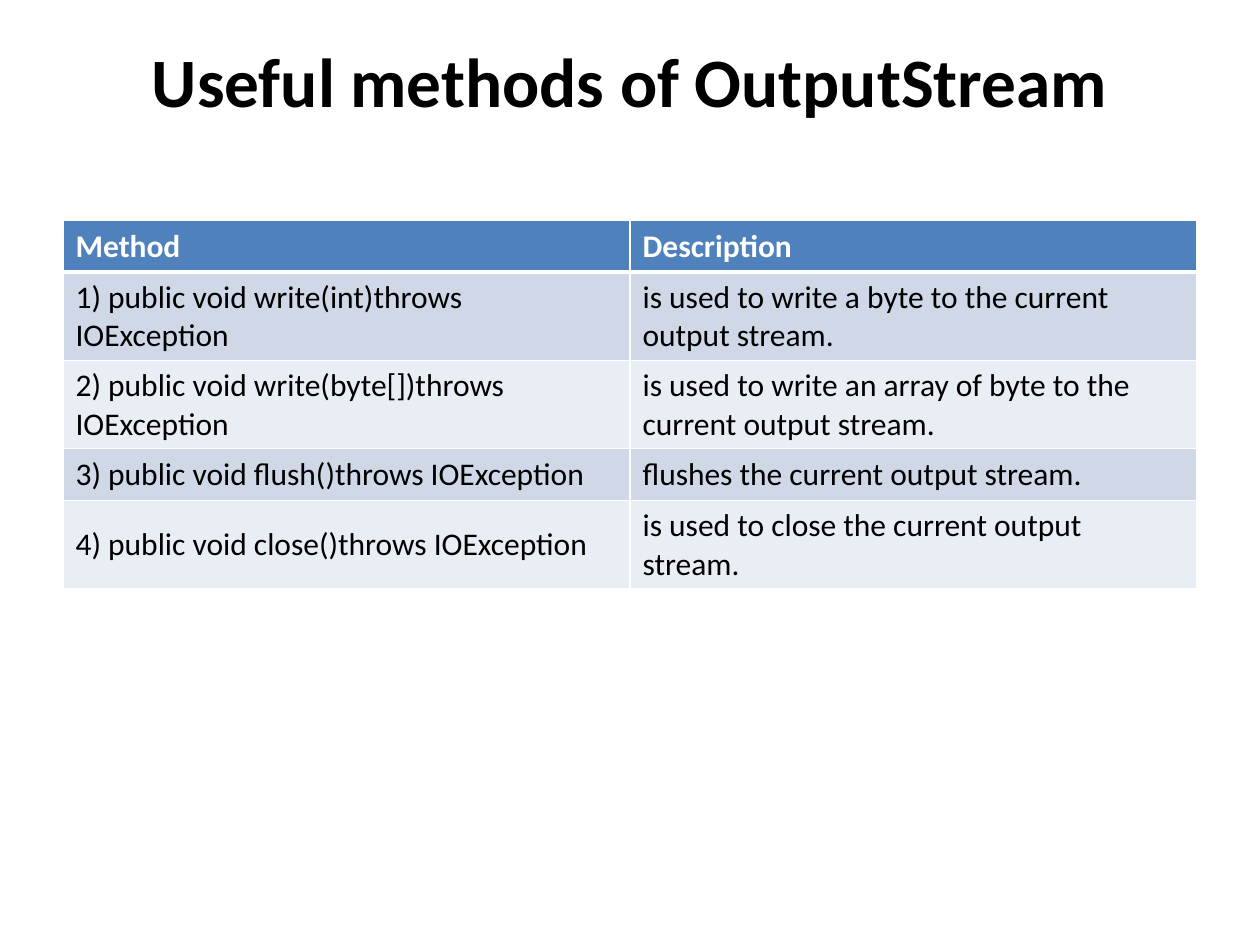
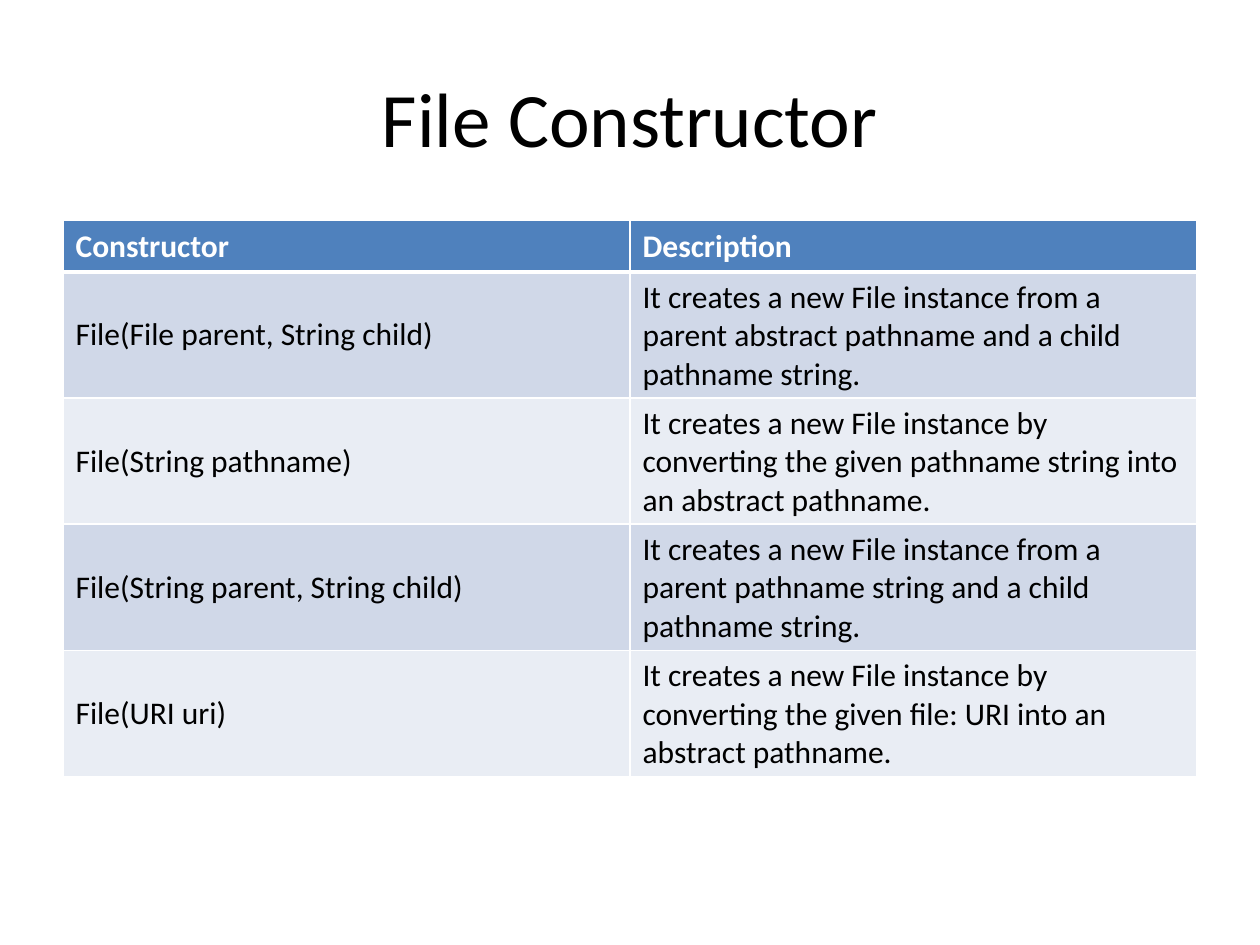
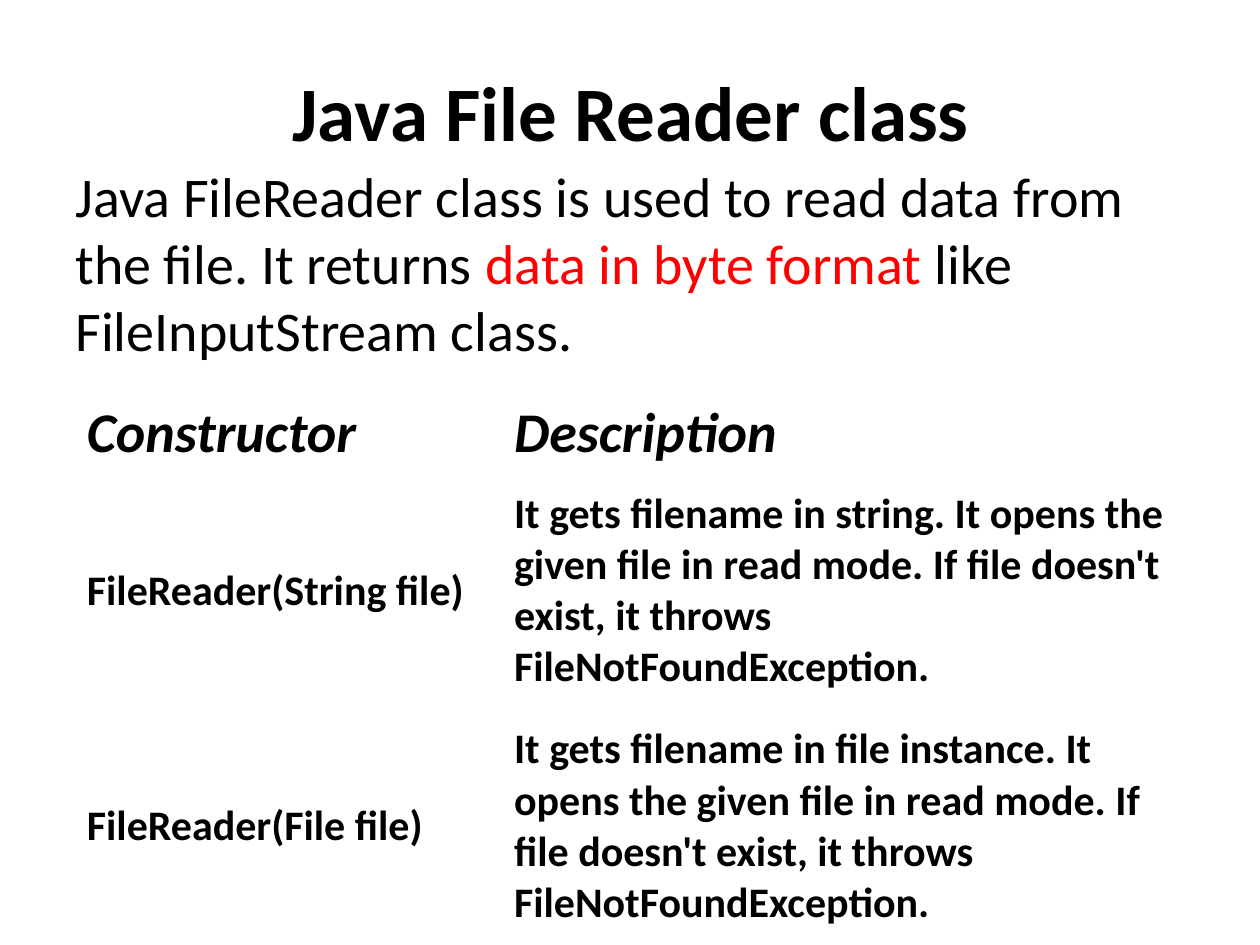
from dataclasses import dataclass
from lxml import etree
from pptx import Presentation
from pptx.dml.color import RGBColor as RGB
from pptx.enum.text import MSO_ANCHOR as Anchor, PP_ALIGN as Align
from pptx.oxml.ns import qn
from pptx.util import Inches, Pt


@dataclass(frozen=True)
class Theme:
    font: str = "Calibri"
    black: str = "000000"
    white: str = "FFFFFF"
    red: str = "FF0000"
    blue: str = "4F81BD"
    bands: tuple = ("D0D8E8", "E9EDF4")
    title: float = 44
    small: float = 39.6
    body: float = 32
    strong: float = 24
    cell: float = 18
    plain: str = "{2D5ABB26-0587-4C30-8999-92F81FD0307C}"


look = Theme()


def add_run(para, text, size, color=look.black, bold=False, slant=False):
    run = para.add_run()
    run.text = text
    font = run.font
    font.name, font.size = look.font, Pt(size)
    font.bold, font.italic = bold, slant
    font.color.rgb = RGB.from_string(color)


def add_edge(cell, side, width):
    edge = etree.SubElement(cell._tc.get_or_add_tcPr(), qn("a:" + side), w=str(Pt(width)))
    fill = etree.SubElement(edge, qn("a:solidFill"))
    etree.SubElement(fill, qn("a:srgbClr"), val=look.white)


deck = Presentation()
deck.slide_width, deck.slide_height = Inches(10), Inches(7.5)

# Titles: text, box, size, bold, anchor
wide = (0.5, 0.3, 9, 1.25)
heads = [
    ("Useful methods of OutputStream", wide, look.small, True, Anchor.TOP),
    ("File Constructor", wide, look.title, False, Anchor.MIDDLE),
    ("Java File Reader class", (0.51, 0.44, 9, 0.87), look.title, True, Anchor.MIDDLE),
]

# Tables: place, column widths, row heights, ruled or plain, rows
grids = [
    ((0.5, 1.75), (4.5, 4.5), (0.41, 0.7, 0.7, 0.41, 0.7), True, [
        ("Method", "Description"),
        ("1) public void write(int)throws IOException",
         "is used to write a byte to the current output stream."),
        ("2) public void write(byte[])throws IOException",
         "is used to write an array of byte to the current output stream."),
        ("3) public void flush()throws IOException",
         "flushes the current output stream."),
        ("4) public void close()throws IOException",
         "is used to close the current output stream."),
    ]),
    ((0.5, 1.75), (4.5, 4.5), (0.41, 1, 1, 1, 1), True, [
        ("Constructor", "Description"),
        ("File(File parent, String child)",
         "It creates a new File instance from a parent abstract pathname "
         "and a child pathname string."),
        ("File(String pathname)",
         "It creates a new File instance by converting the given pathname "
         "string into an abstract pathname."),
        ("File(String parent, String child)",
         "It creates a new File instance from a parent pathname string "
         "and a child pathname string."),
        ("File(URI uri)",
         "It creates a new File instance by converting the given file: URI "
         "into an abstract pathname."),
    ]),
    ((0.59, 3.12), (3.39, 5.61), (0.63, 1.87, 1.87), False, [
        ("Constructor", "Description"),
        ("FileReader(String file)",
         "It gets filename in string. It opens the given file in read mode. "
         "If file doesn't exist, it throws FileNotFoundException."),
        ("FileReader(File file)",
         "It gets filename in file instance. It opens the given file in read mode. "
         "If file doesn't exist, it throws FileNotFoundException."),
    ]),
]

for head, grid in zip(heads, grids):
    slide = deck.slides.add_slide(deck.slide_layouts[6])

    # Title
    text, box, size, bold, anchor = head
    frame = slide.shapes.add_textbox(*map(Inches, box)).text_frame
    frame.word_wrap = True
    frame.vertical_anchor = anchor
    if anchor == Anchor.TOP:
        frame.margin_top = 0
    para = frame.paragraphs[0]
    para.alignment = Align.CENTER
    add_run(para, text, size, bold=bold)

    # Table
    place, widths, heights, ruled, rows = grid
    area = (*place, sum(widths), sum(heights))
    table = slide.shapes.add_table(len(rows), len(widths), *map(Inches, area)).table
    table._tbl.tblPr.find(qn("a:tableStyleId")).text = look.plain
    for col, width in zip(table.columns, widths):
        col.width = Inches(width)
    for r, (texts, height) in enumerate(zip(rows, heights)):
        table.rows[r].height = Inches(height)
        top = r == 0
        for c, text in enumerate(texts):
            cell = table.cell(r, c)
            cell.vertical_anchor = Anchor.MIDDLE
            para = cell.text_frame.paragraphs[0]
            if ruled:
                add_run(para, text, look.cell, look.white if top else look.black, top)
                for side in ("lnL", "lnR", "lnT", "lnB"):
                    thick = (top and side == "lnB") or (r == 1 and side == "lnT")
                    add_edge(cell, side, 3 if thick else 1)
                cell.fill.solid()
                shade = look.blue if top else look.bands[(r - 1) % 2]
                cell.fill.fore_color.rgb = RGB.from_string(shade)
            else:
                add_run(para, text, look.body if top else look.strong, bold=True, slant=top)
                cell.fill.background()

# Body text of the last slide
body = slide.shapes.add_textbox(*map(Inches, (0.5, 1.23, 9, 5.47))).text_frame
body.word_wrap = True
para = body.paragraphs[0]
add_run(para, "Java FileReader class is used to read data from the file. It returns ", look.body)
add_run(para, "data in byte format ", look.body, look.red)
add_run(para, "like FileInputStream class.", look.body)

deck.save("out.pptx")
